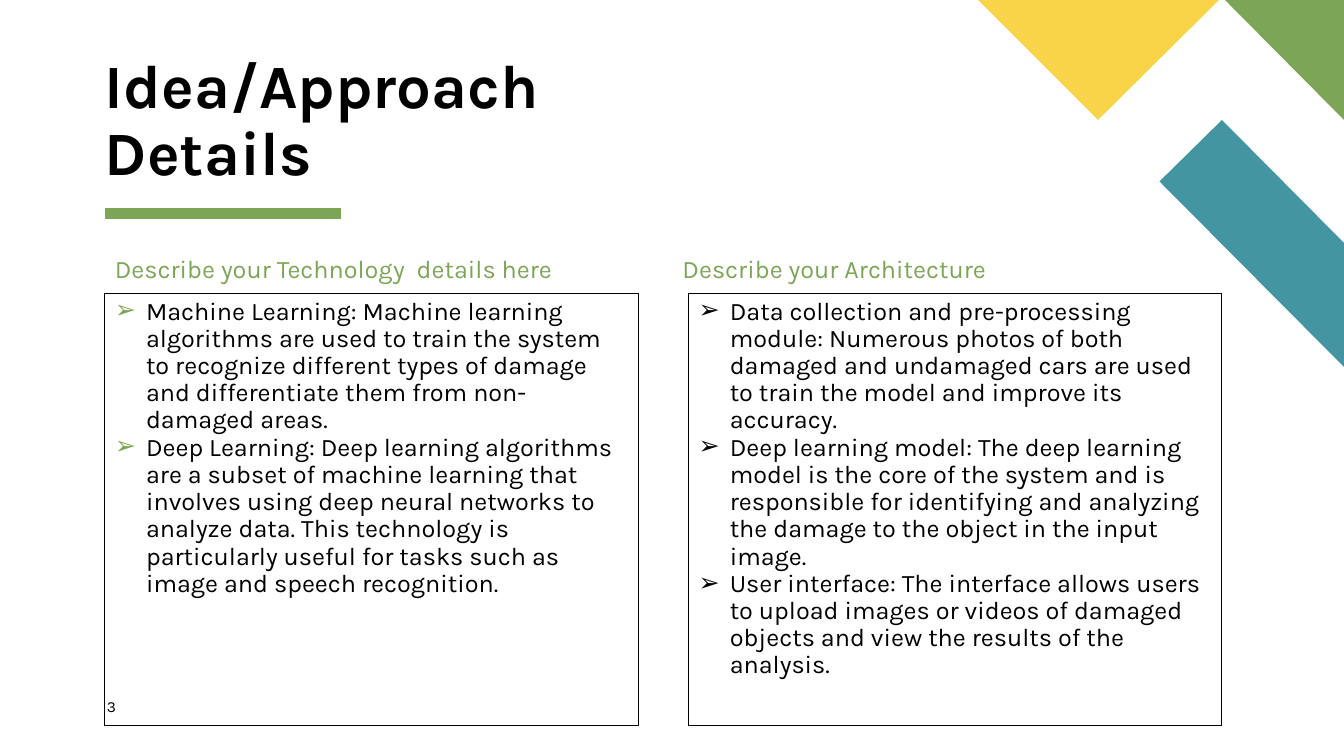
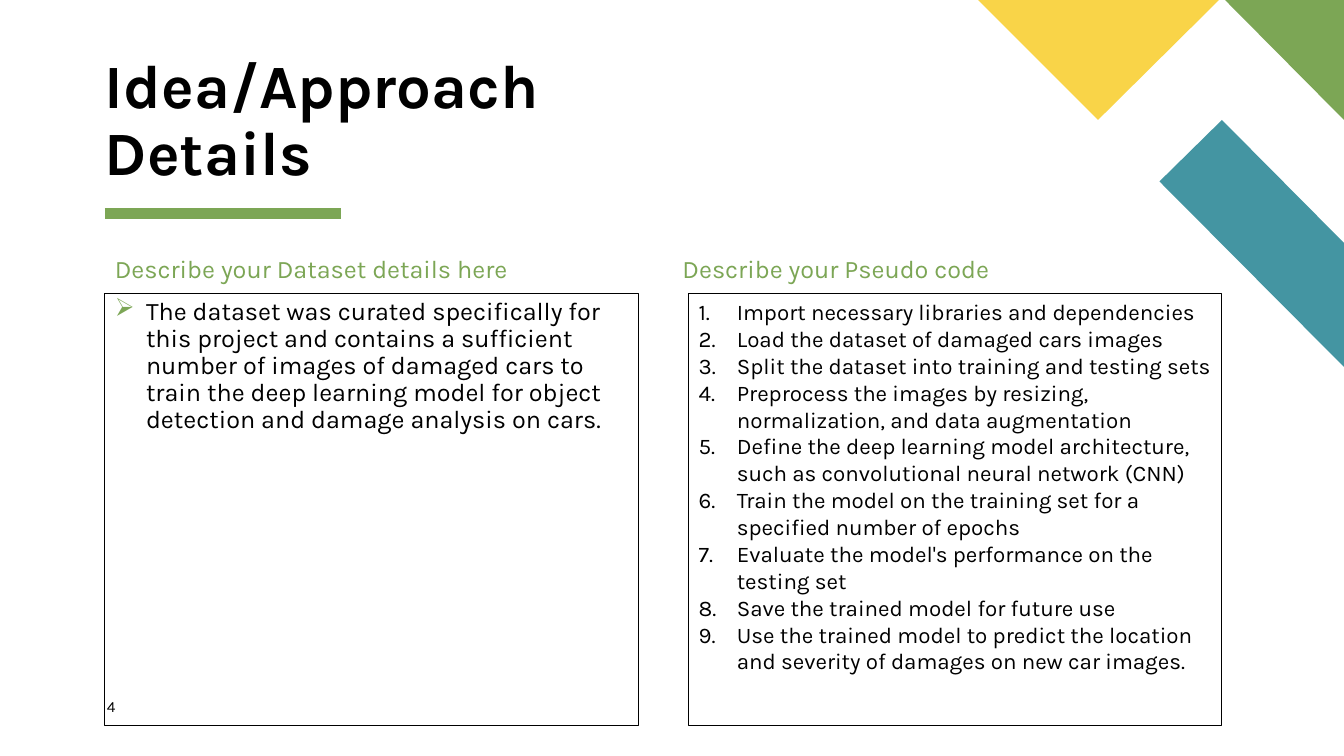
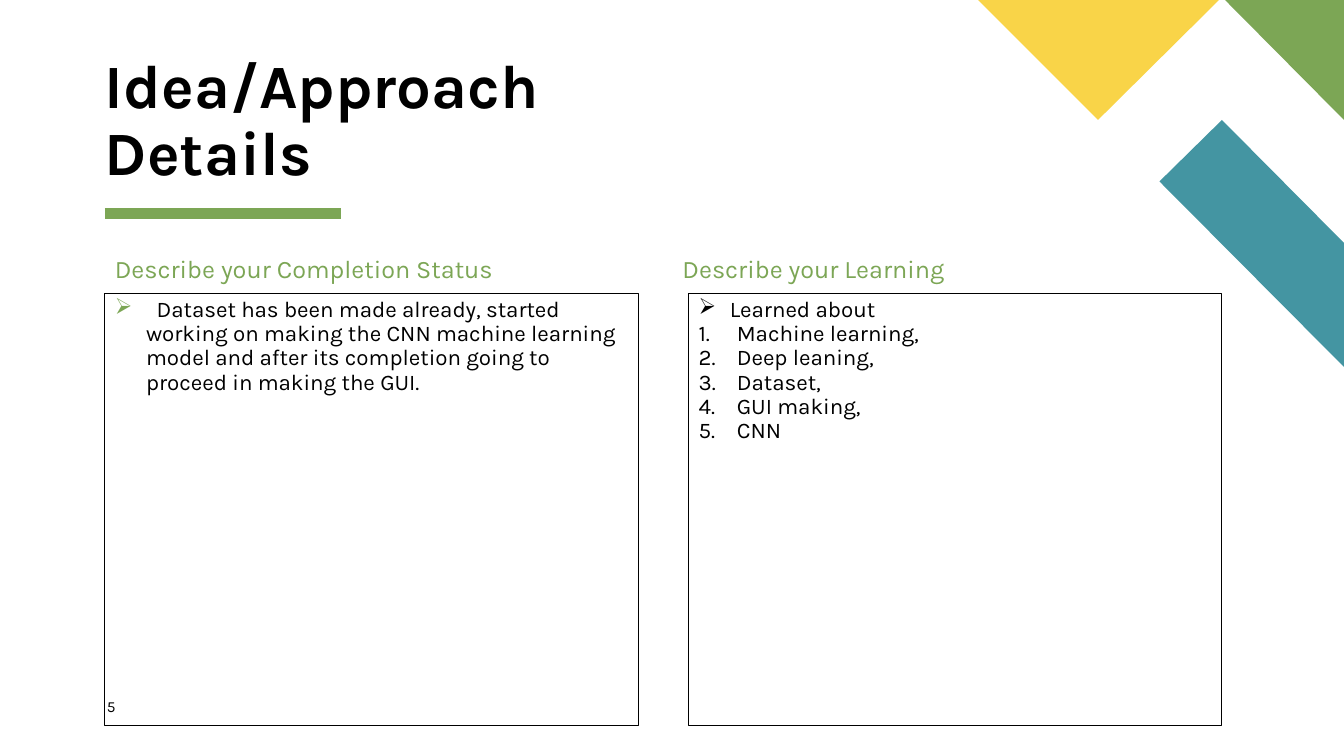
from lxml import etree
from pptx import Presentation
from pptx import util as u
from pptx.dml import color
from pptx.enum import shapes, text
from pptx.oxml import ns

FONT = "Karla"
BLACK, GREEN, TEAL, YELLOW = "000000", "7CA655", "4495A2", "F9D448"
LIGHT_ARROW, WIDE_ARROW, NUMBER = "light arrow", "wide arrow", "number"
ARROW_CHAR = "➢"
TITLE = "Idea/Approach Details"
FIRST_NUMBER = 3

CORNER = [
    (TEAL, [(13.33, 3.64), (13.33, 2.41), (12.12, 1.19), (11.5, 1.8)]),
    (GREEN, [(13.33, 1.19), (13.33, 0), (12.15, 0)]),
    (YELLOW, [(9.7, 0), (10.89, 1.19), (12.09, 0)]),
]
COLUMNS = [
    {"heading": (1.04, 2.5, 5.29, 0.35), "panel": (1.04, 2.91, 5.29, 4.29), "bullet": GREEN},
    {"heading": (6.67, 2.5, 5.62, 0.35), "panel": (6.83, 2.91, 5.29, 4.29), "bullet": BLACK},
]
PAGES = [
    [
        {"heading": "Describe your Technology  details here", "size": 18, "spacing": 0.9, "items": [
            (LIGHT_ARROW, "Machine Learning: Machine learning algorithms are used to train the system to recognize different types of damage and differentiate them from non-damaged areas."),
            (LIGHT_ARROW, "Deep Learning: Deep learning algorithms are a subset of machine learning that involves using deep neural networks to analyze data. This technology is particularly useful for tasks such as image and speech recognition."),
        ]},
        {"heading": "Describe your Architecture", "size": 18, "spacing": 0.9, "items": [
            (LIGHT_ARROW, "Data collection and pre-processing module: Numerous photos of both damaged and undamaged cars are used to train the model and improve its accuracy."),
            (LIGHT_ARROW, "Deep learning model: The deep learning model is the core of the system and is responsible for identifying and analyzing the damage to the object in the input image."),
            (LIGHT_ARROW, "User interface: The interface allows users to upload images or videos of damaged objects and view the results of the analysis."),
        ]},
    ],
    [
        {"heading": "Describe your Dataset details here", "size": 18, "spacing": 0.9, "items": [
            (WIDE_ARROW, "The dataset was curated specifically for this project and contains a sufficient number of images of damaged cars to train the deep learning model for object detection and damage analysis on cars."),
        ]},
        {"heading": "Describe your Pseudo code", "size": 16, "spacing": 1.0, "items": [
            (NUMBER, "Import necessary libraries and dependencies"),
            (NUMBER, "Load the dataset of damaged cars images"),
            (NUMBER, "Split the dataset into training and testing sets"),
            (NUMBER, "Preprocess the images by resizing, normalization, and data augmentation"),
            (NUMBER, "Define the deep learning model architecture, such as convolutional neural network (CNN)"),
            (NUMBER, "Train the model on the training set for a specified number of epochs"),
            (NUMBER, "Evaluate the model's performance on the testing set"),
            (NUMBER, "Save the trained model for future use"),
            (NUMBER, "Use the trained model to predict the location and severity of damages on new car images."),
        ]},
    ],
    [
        {"heading": "Describe your Completion Status", "size": 16, "spacing": 0.9, "items": [
            (WIDE_ARROW, "  Dataset has been made already, started working on making the CNN machine learning model and after its completion going to proceed in making the GUI."),
        ]},
        {"heading": "Describe your Learning", "size": 16, "spacing": 0.9, "items": [
            (WIDE_ARROW, "Learned about"),
            (NUMBER, "Machine learning,"),
            (NUMBER, "Deep leaning,"),
            (NUMBER, "Dataset,"),
            (NUMBER, "GUI making,"),
            (NUMBER, "CNN"),
        ]},
    ],
]


def rgb(value):
    return color.RGBColor.from_string(value)


def child(parent, tag, **attributes):
    return etree.SubElement(parent, ns.qn(tag), attributes)


def style(para, size, tint=BLACK, bold=False, spacing=0.9):
    para.font.name, para.font.size, para.font.bold = FONT, u.Pt(size), bold
    para.font.color.rgb = rgb(tint)
    para.alignment = text.PP_ALIGN.LEFT
    para.line_spacing = spacing
    para.space_before = para.space_after = u.Pt(0)


def set_frame(frame, anchor=text.MSO_ANCHOR.TOP, inset=None):
    frame.word_wrap = True
    frame.auto_size = text.MSO_AUTO_SIZE.NONE
    frame.vertical_anchor = anchor
    if inset is not None:
        frame.margin_left = frame.margin_right = u.Inches(inset)
        frame.margin_top = frame.margin_bottom = u.Inches(inset)


def add_box(page, place, inset=None):
    box = page.shapes.add_textbox(*map(u.Inches, place))
    set_frame(box.text_frame, inset=inset)
    return box


def set_bullet(para, kind, tint):
    indent = u.Inches(0.38 if kind == NUMBER else 0.31)
    props = para._p.get_or_add_pPr()
    props.set("marL", str(indent))
    props.set("indent", str(-indent))
    child(child(props, "a:buClr"), "a:srgbClr", val=tint)
    if kind == NUMBER:
        child(props, "a:buAutoNum", type="arabicPeriod")
        return
    if kind == LIGHT_ARROW:
        child(props, "a:buFont", typeface=FONT)
    child(props, "a:buChar", char=ARROW_CHAR)


def decorate(layout, page):
    underline = page.shapes.add_connector(
        shapes.MSO_CONNECTOR.STRAIGHT, *map(u.Inches, (1.04, 2.12, 3.38, 2.12)))
    underline.line.color.rgb = rgb(GREEN)
    underline.line.width = u.Pt(8)
    child(underline._element.spPr, "a:effectLst")
    parts = [underline]
    for tint, corners in CORNER:
        points = [(u.Inches(x), u.Inches(y)) for x, y in corners]
        builder = page.shapes.build_freeform(*points[0])
        builder.add_line_segments(points[1:], close=True)
        patch = builder.convert_to_shape()
        patch.shadow.inherit = False
        patch.fill.solid()
        patch.fill.fore_color.rgb = rgb(tint)
        patch.line.fill.background()
        parts.append(patch)
    for part in parts:
        layout.shapes.element.append(part._element)


def add_title(page):
    title = page.shapes.title
    title.left, title.top, title.width, title.height = map(u.Inches, (1.04, 1.2, 6.32, 0.67))
    title.text_frame.text = TITLE
    set_frame(title.text_frame, text.MSO_ANCHOR.BOTTOM, 0)
    style(title.text_frame.paragraphs[0], 44, bold=True)


def add_column(page, column, content):
    heading = add_box(page, column["heading"]).text_frame
    heading.text = content["heading"]
    style(heading.paragraphs[0], 18, GREEN)
    panel = add_box(page, column["panel"])
    panel.line.color.rgb = rgb(BLACK)
    panel.line.width = u.Pt(0.75)
    frame = panel.text_frame
    frame.text = "\n".join(words for _, words in content["items"])
    for para, (kind, _) in zip(frame.paragraphs, content["items"]):
        style(para, content["size"], spacing=content["spacing"])
        set_bullet(para, kind, column["bullet"])


def add_number(page, number):
    para = add_box(page, (1.06, 6.92, 0.57, 0.27), 0).text_frame.paragraphs[0]
    field = child(para._p, "a:fld", id="{B6F15528-21DE-4FAA-801E-634DDDAF4B2B}", type="slidenum")
    props = child(field, "a:rPr", lang="en-US", sz="1100")
    child(child(props, "a:solidFill"), "a:srgbClr", val=BLACK)
    child(props, "a:latin", typeface=FONT)
    child(field, "a:t").text = str(number)


def main():
    deck = Presentation()
    deck.slide_width, deck.slide_height = u.Inches(13.33), u.Inches(7.5)
    deck.element.set("firstSlideNum", str(FIRST_NUMBER))
    layout = deck.slide_layouts[5]
    for index, contents in enumerate(PAGES):
        page = deck.slides.add_slide(layout)
        if index == 0:
            decorate(layout, page)
        add_title(page)
        for column, content in zip(COLUMNS, contents):
            add_column(page, column, content)
        add_number(page, FIRST_NUMBER + index)
    deck.save("out.pptx")


if __name__ == "__main__":
    main()
